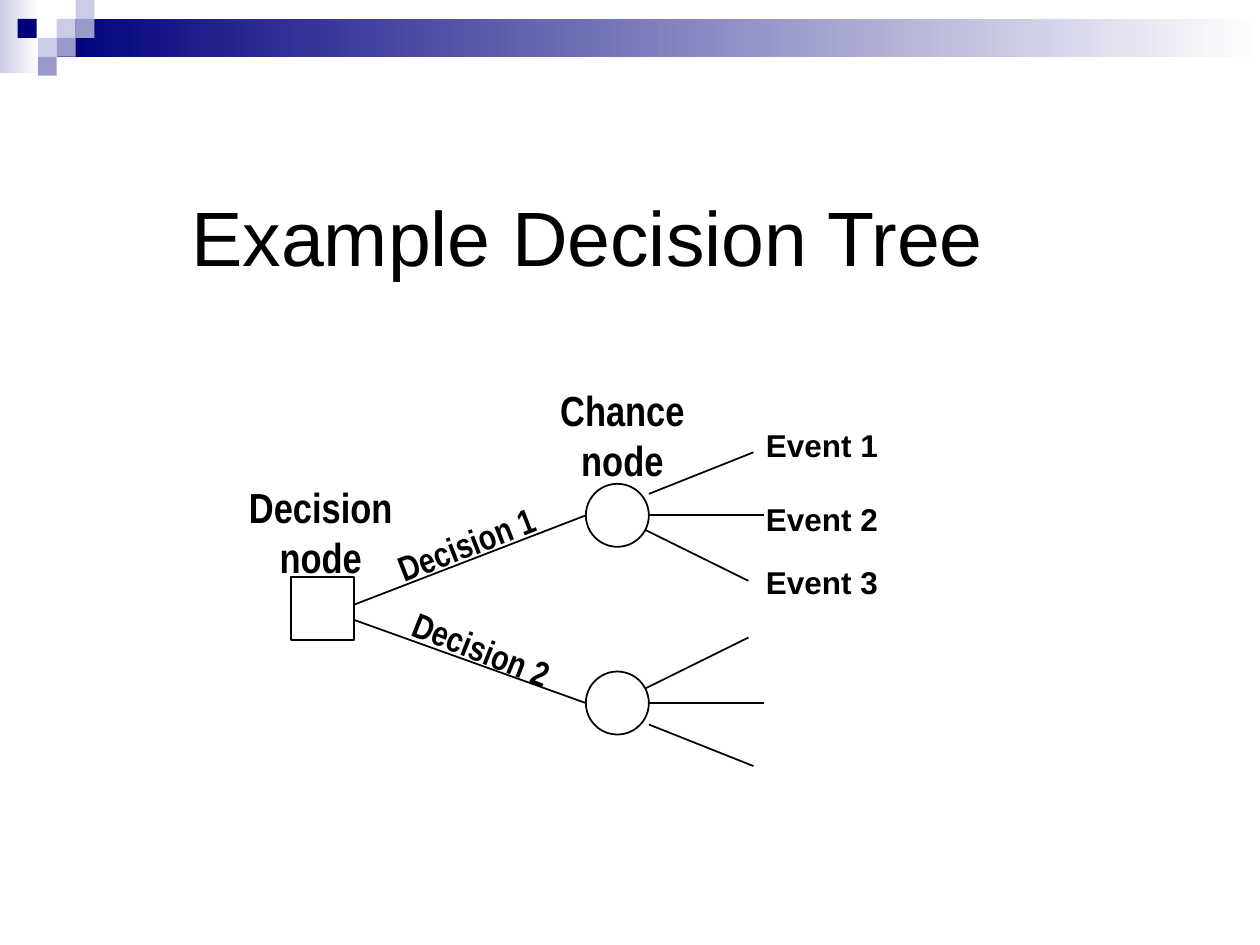
from lxml.etree import SubElement
from pptx import Presentation
from pptx.dml.color import RGBColor
from pptx.enum.shapes import MSO_CONNECTOR, MSO_SHAPE
from pptx.enum.text import MSO_ANCHOR as Anchor, MSO_AUTO_SIZE as AutoSize, PP_ALIGN as Align
from pptx.oxml.ns import qn
from pptx.util import Inches, Pt

NAVY = RGBColor(0x00, 0x00, 0x7D)
VIOLET = RGBColor(0x99, 0x99, 0xCC)
LILAC = RGBColor(0xCC, 0xCC, 0xE6)
WHITE = RGBColor(0xFF, 0xFF, 0xFF)
BLACK = RGBColor(0x00, 0x00, 0x00)

TILE = 0.15
NODE = 0.5
CHANCE_LEFT = 4.65
UPPER_Y, LOWER_Y = 4.09, 5.58


def add_box(slide, kind, left, top, width, height):
    shape = slide.shapes.add_shape(
        kind, Inches(left), Inches(top), Inches(width), Inches(height))
    shape.shadow.inherit = False
    return shape


def add_tile(slide, left, top, color):
    tile = add_box(slide, MSO_SHAPE.RECTANGLE, left, top, TILE, TILE)
    tile.fill.solid()
    tile.fill.fore_color.rgb = color
    tile.line.fill.background()


def add_fade(slide, left, top, width, height, color):
    """Band that fades from the colour on the left to white on the right."""
    band = add_box(slide, MSO_SHAPE.RECTANGLE, left, top, width, height)
    band.fill.gradient()
    band.fill.gradient_angle = 0
    for stop, stop_color in zip(band.fill.gradient_stops, (color, WHITE)):
        stop.color.rgb = stop_color
    band.line.fill.background()


def add_node(slide, kind, left, top):
    node = add_box(slide, kind, left, top, NODE, NODE)
    node.fill.solid()
    node.fill.fore_color.rgb = WHITE
    node.line.color.rgb = BLACK
    node.line.width = Pt(1)


def add_branch(slide, x1, y1, x2, y2):
    branch = slide.shapes.add_connector(
        MSO_CONNECTOR.STRAIGHT, Inches(x1), Inches(y1), Inches(x2), Inches(y2))
    branch.line.color.rgb = BLACK
    branch.line.width = Pt(1)
    SubElement(branch.element.spPr, qn("a:effectLst"))


def add_text(slide, lines, left, top, width, height, size, font="Arial Narrow",
             bold=True, align=Align.CENTER, wrap=False, rotation=0, before=0):
    box = slide.shapes.add_textbox(
        Inches(left), Inches(top), Inches(width), Inches(height))
    box.rotation = rotation
    frame = box.text_frame
    frame.word_wrap = wrap
    frame.auto_size = AutoSize.SHAPE_TO_FIT_TEXT
    for index, line in enumerate(lines):
        paragraph = frame.add_paragraph() if index else frame.paragraphs[0]
        paragraph.alignment = align
        paragraph.space_before = Pt(before)
        run = paragraph.add_run()
        run.text = line
        run.font.name = font
        run.font.size = Pt(size)
        run.font.bold = bold
        run.font.color.rgb = BLACK
    return frame


def add_banner(slide):
    add_fade(slide, 0, 0, 0.31, 0.58, LILAC)
    add_fade(slide, 0.45, 0.15, 9.55, 0.3, NAVY)
    for left, top, color in (
            (0.45, 0.15, LILAC), (0.6, 0, LILAC), (0.6, 0.15, VIOLET),
            (0.3, 0.3, LILAC), (0.14, 0.15, NAVY), (0.45, 0.3, VIOLET),
            (0.3, 0.45, VIOLET)):
        add_tile(slide, left, top, color)


def add_title(slide):
    frame = add_text(slide, ["Example Decision Tree"], 1.42, 1.33, 7.08, 1.08, 44,
                     font="Arial", bold=False, align=Align.LEFT, wrap=True)
    frame.auto_size = AutoSize.NONE
    frame.vertical_anchor = Anchor.MIDDLE


def add_tree(slide):
    # Decision branches
    add_branch(slide, 2.73, 4.83, CHANCE_LEFT, UPPER_Y)
    add_branch(slide, 2.81, 4.92, CHANCE_LEFT, LOWER_Y)

    # Event branches: the lower fan mirrors the upper one
    for center, sign in ((UPPER_Y, 1), (LOWER_Y, -1)):
        for x1, rise1, x2, rise2 in (
                (5.15, -0.17, 5.98, -0.5), (5.15, 0, 6.06, 0), (5.11, 0.11, 5.94, 0.52)):
            add_branch(slide, x1, center + sign * rise1, x2, center + sign * rise2)

    # Nodes and their names
    add_node(slide, MSO_SHAPE.RECTANGLE, 2.31, 4.58)
    add_text(slide, ["Decision ", "node"], 1.84, 3.77, 1.41, 0.9, 24)
    for center in (UPPER_Y, LOWER_Y):
        add_node(slide, MSO_SHAPE.OVAL, CHANCE_LEFT, center - NODE / 2)
    add_text(slide, ["Chance ", "node"], 4.31, 3, 1.26, 0.9, 24)

    # Branch labels
    add_text(slide, ["Decision 1"], 3.03, 4.1, 1.34, 0.44, 20, rotation=338.7)
    # This label keeps its taller box, which sets the centre of rotation
    frame = add_text(slide, ["Decision 2"], 3.09, 4.92, 1.34, 0.77, 20, rotation=21.7)
    frame.auto_size = AutoSize.NONE
    for label, top, width, wrap in (
            ("Event 1", 3.33, 1.17, True), ("Event 2", 3.92, 1.09, False),
            ("Event 3", 4.42, 1.09, False)):
        add_text(slide, [label], 5.98, top, width, 0.4, 18, font="Arial",
                 align=Align.LEFT, wrap=wrap, before=11.2)


def main():
    presentation = Presentation()
    presentation.slide_width = Inches(10)
    presentation.slide_height = Inches(7.5)
    slide = presentation.slides.add_slide(presentation.slide_layouts[6])
    add_banner(slide)
    add_title(slide)
    add_tree(slide)
    presentation.save("out.pptx")


if __name__ == "__main__":
    main()
